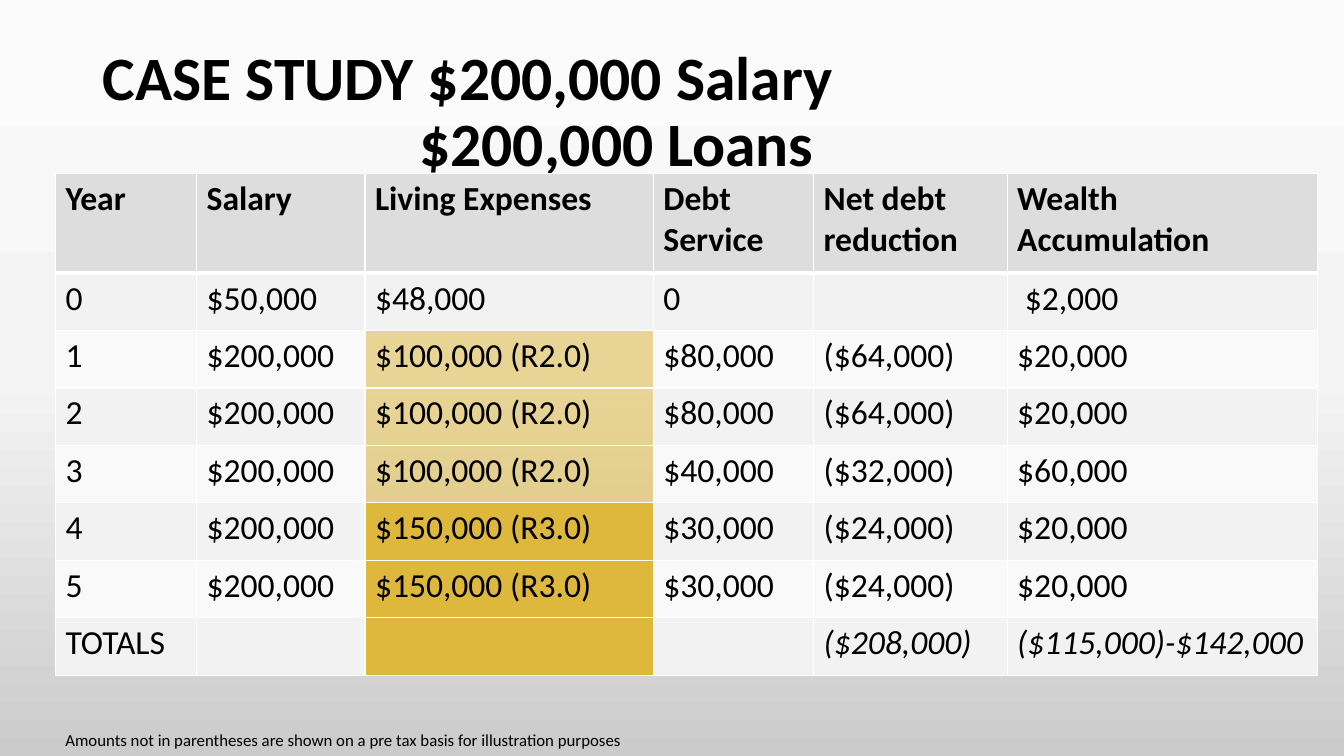
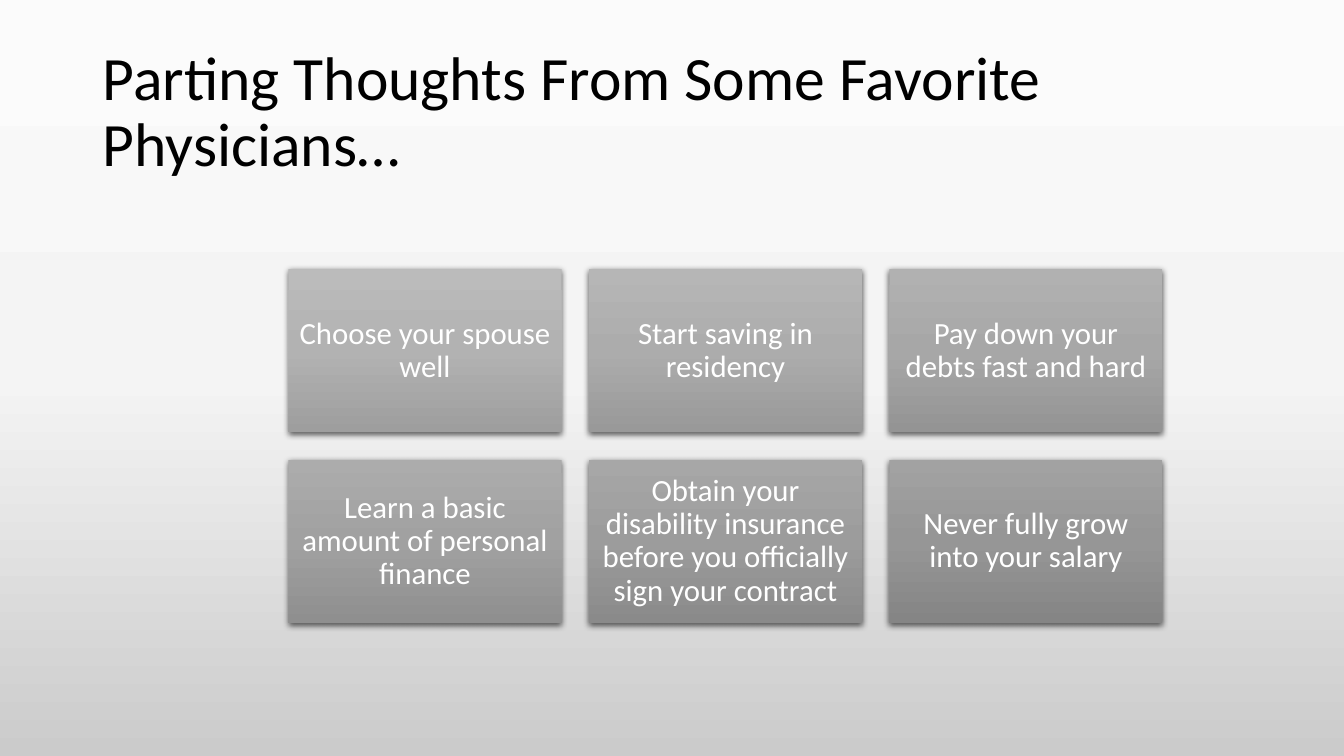
from dataclasses import dataclass
from typing import Any

from lxml.etree import SubElement
from pptx import Presentation
from pptx.dml.color import RGBColor
from pptx.enum.shapes import MSO_SHAPE
from pptx.enum.text import MSO_ANCHOR, PP_ALIGN
from pptx.oxml.ns import qn
from pptx.util import Inches, Pt

HUES = {
    "black": "000000", "white": "FFFFFF", "head": "DDDDDD",
    "odd": "F2F2F2", "even": "F9F9F9", "gold": "DDB83C",
}
BACK = ("FBFBFB", "F4F4F4", "CBCBCB")
BASE = {"name": "Calibri", "size": Pt(24), "bold": False, "italic": False}
TITLE = BASE | {"size": Pt(44)}
NOTE = BASE | {"size": Pt(12)}
LABEL = BASE | {"size": Pt(22)}
FRAME = {"word_wrap": True, "vertical_anchor": MSO_ANCHOR.MIDDLE}


@dataclass
class Box:
    left: float
    top: float
    width: float
    height: float

    def place(self) -> tuple:
        return tuple(map(Inches, (self.left, self.top, self.width, self.height)))


@dataclass
class Row:
    cells: tuple[str, ...]
    gold: int = 0  # percent of gold in the expenses column


@dataclass
class Card:
    text: str
    box: Box
    tones: tuple[str, ...]


HEADS = ("Year", "Salary", "Living Expenses", "Debt Service",
         "Net debt reduction", "Wealth Accumulation")
ROWS = (
    Row(("0", "$50,000", "$48,000", "0", "", " $2,000")),
    Row(("1", "$200,000", "$100,000 (R2.0)", "$80,000", "($64,000)", "$20,000"), 52),
    Row(("2", "$200,000", "$100,000 (R2.0)", "$80,000", "($64,000)", "$20,000"), 52),
    Row(("3", "$200,000", "$100,000 (R2.0)", "$40,000", "($32,000)", "$60,000"), 52),
    Row(("4", "$200,000", "$150,000 (R3.0)", "$30,000", "($24,000)", "$20,000"), 100),
    Row(("5", "$200,000", "$150,000 (R3.0)", "$30,000", "($24,000)", "$20,000"), 100),
    Row(("TOTALS", "", "", "", "($208,000)", "($115,000)-$142,000"), 100),
)
WIDTHS = (1.4, 1.67, 2.86, 1.59, 1.92, 3.08)
GOLD_COL = 2
HEAD_H, ROW_H = 0.99, 0.57
TIPS = (
    "Choose your spouse well",
    "Start saving in residency",
    "Pay down your debts fast and hard",
    "Learn a basic amount of personal finance",
    "Obtain your disability insurance before you officially sign your contract",
    "Never fully grow into your salary",
)
FIRST = Box(2.86, 2.67, 2.71, 1.62)
GAP, COLS = 0.27, 3


def put(item: Any, values: dict) -> None:
    for name, value in values.items():
        setattr(item, name, value)


def write(para: Any, text: str, form: dict, hue: str = "black") -> None:
    run = para.add_run()
    run.text = text
    put(run.font, form)
    run.font.color.rgb = RGBColor.from_string(HUES[hue])


def blend(fill: Any, owner: Any, tones: tuple[str, ...]) -> None:
    """Fill from top to bottom with evenly spaced tones."""
    fill.gradient()
    fill.gradient_angle = 270
    stops = next(owner.element.iter(qn("a:gsLst")))
    for old in list(stops):
        stops.remove(old)
    for i, tone in enumerate(tones):
        stop = SubElement(stops, qn("a:gs"), pos=str(100000 * i // (len(tones) - 1)))
        SubElement(stop, qn("a:srgbClr"), val=tone)


def start(deck: Any, lines: tuple[str, ...], bold: bool = False, dent: float = 0) -> Any:
    """Add a slide with its title; dent moves the later title lines right."""
    slide = deck.slides.add_slide(deck.slide_layouts[6])
    blend(slide.background.fill, slide, BACK)
    frame = slide.shapes.add_textbox(*Box(0.92, 0.4, 11.5, 1.45).place()).text_frame
    put(frame, FRAME)
    for i, line in enumerate(lines):
        para = frame.add_paragraph() if i else frame.paragraphs[0]
        para.line_spacing = 0.9
        if i:
            para._p.get_or_add_pPr().set("marL", str(Inches(dent)))
        write(para, line, TITLE | {"bold": bold})
    return slide


def edge(cell: Any, thick: dict[str, float]) -> None:
    props = cell._tc.get_or_add_tcPr()
    for side in "LRTB":
        line = SubElement(props, qn(f"a:ln{side}"), w=str(Pt(thick.get(side, 1))))
        fill = SubElement(line, qn("a:solidFill"))
        SubElement(fill, qn("a:srgbClr"), val=HUES["white"])


def paint(cell: Any, hue: str, alpha: int = 100) -> None:
    cell.fill.solid()
    cell.fill.fore_color.rgb = RGBColor.from_string(HUES[hue])
    if alpha < 100:
        fill = cell._tc.tcPr.find(qn("a:solidFill"))
        SubElement(fill[0], qn("a:alpha"), val=str(alpha * 1000))


def grid(slide: Any) -> None:
    rows = (Row(HEADS), *ROWS)
    box = Box(0.55, 1.72, sum(WIDTHS), HEAD_H + ROW_H * len(ROWS))
    table = slide.shapes.add_table(len(rows), len(HEADS), *box.place()).table
    put(table, {"first_row": False, "horz_banding": False})
    for col, width in zip(table.columns, WIDTHS):
        col.width = Inches(width)
    for r, row in enumerate(rows):
        table.rows[r].height = Inches(ROW_H if r else HEAD_H)
        tone = "head" if r == 0 else "odd" if r % 2 else "even"
        thick = {0: {"B": 3}, 1: {"T": 3}}.get(r, {})
        last = r == len(rows) - 1
        for c, text in enumerate(row.cells):
            cell = table.cell(r, c)
            edge(cell, thick)
            if row.gold and c == GOLD_COL:
                paint(cell, "gold", row.gold)
            else:
                paint(cell, tone)
            if text:
                form = BASE | {"bold": r == 0, "italic": last and c > 0}
                write(cell.text_frame.paragraphs[0], text, form)


def note(slide: Any, text: str) -> None:
    frame = slide.shapes.add_textbox(*Box(0.55, 7.19, 5.74, 0.3).place()).text_frame
    frame.word_wrap = False
    write(frame.paragraphs[0], text, NOTE)


def deal() -> list[Card]:
    """Lay the tips out in a grid, each card a little darker than the last."""
    cards = []
    for i, tip in enumerate(TIPS):
        row, col = divmod(i, COLS)
        box = Box(FIRST.left + col * (FIRST.width + GAP),
                  FIRST.top + row * (FIRST.height + GAP), FIRST.width, FIRST.height)
        grays = (187 - 5 * i, round(178 - 5.6 * i), 158 - 5 * i)
        cards.append(Card(tip, box, tuple(f"{gray:02X}" * 3 for gray in grays)))
    return cards


def draw(slide: Any, card: Card) -> None:
    shape = slide.shapes.add_shape(MSO_SHAPE.RECTANGLE, *card.box.place())
    blend(shape.fill, shape, card.tones)
    shape.line.fill.background()
    shape.shadow.inherit = False
    shade = SubElement(
        shape.element.spPr.find(qn("a:effectLst")), qn("a:outerShdw"),
        blurRad=str(Pt(4.5)), dist=str(Pt(1.5)), dir="5400000", algn="ctr", rotWithShape="0")
    tint = SubElement(shade, qn("a:srgbClr"), val=HUES["black"])
    SubElement(tint, qn("a:alpha"), val="63000")
    sides = ("left", "right", "top", "bottom")
    frame = shape.text_frame
    put(frame, FRAME | {f"margin_{side}": Inches(0.09) for side in sides})
    para = frame.paragraphs[0]
    put(para, {"alignment": PP_ALIGN.CENTER, "line_spacing": 0.9})
    write(para, card.text, LABEL, "white")


def main() -> None:
    deck = Presentation()
    put(deck, {"slide_width": Inches(13.33), "slide_height": Inches(7.5)})

    study = start(deck, ("CASE STUDY $200,000 Salary", "$200,000 Loans"), True, 3.14)
    grid(study)
    note(study, "Amounts not in parentheses are shown on a pre tax basis "
                "for illustration purposes")

    advice = start(deck, ("Parting Thoughts From Some Favorite Physicians…",))
    for card in deal():
        draw(advice, card)

    deck.save("out.pptx")


if __name__ == "__main__":
    main()
